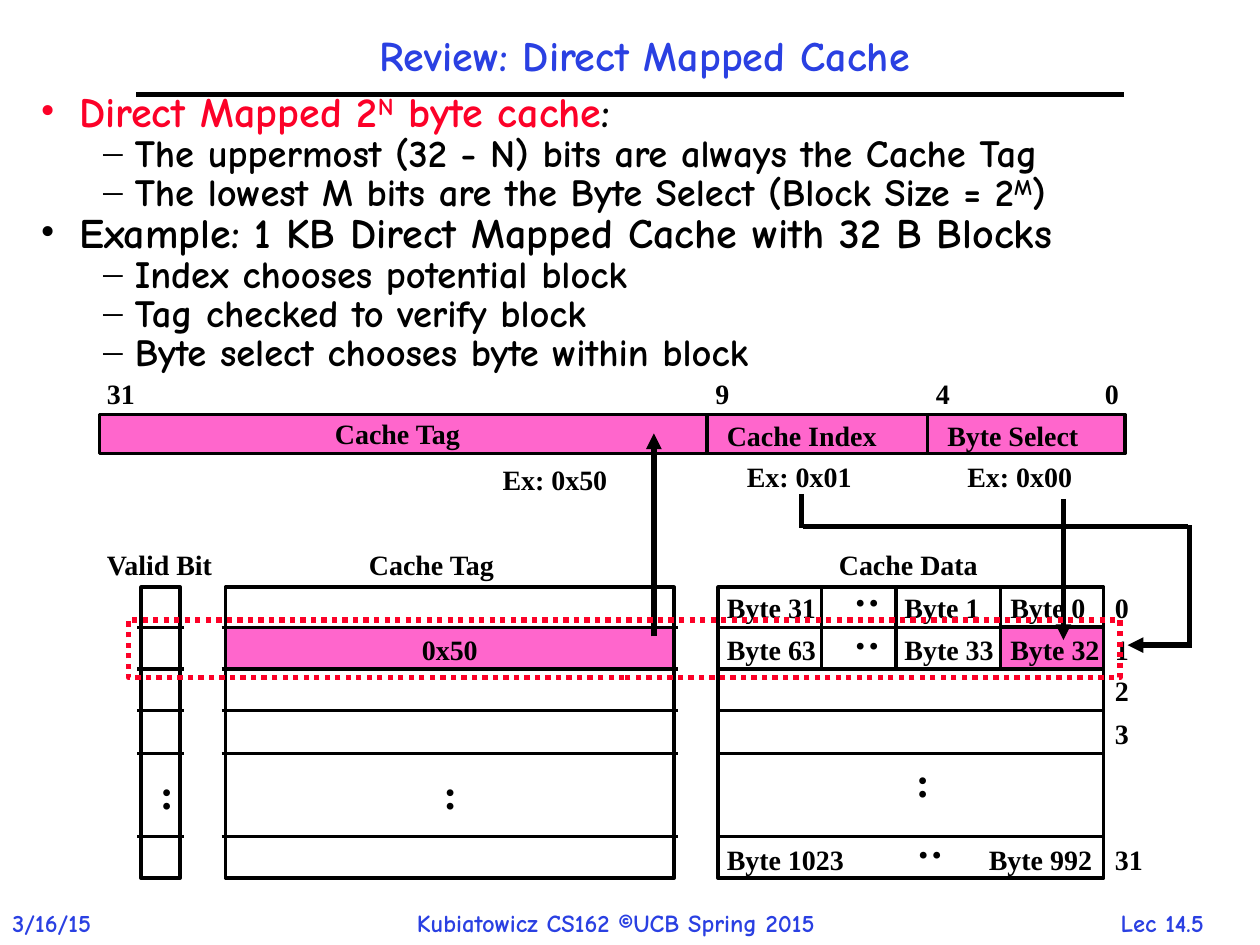
from lxml import etree
from pptx import Presentation
from pptx.dml.color import RGBColor
from pptx.enum.dml import MSO_LINE
from pptx.enum.shapes import MSO_CONNECTOR, MSO_SHAPE
from pptx.enum.text import PP_ALIGN
from pptx.oxml.ns import qn
from pptx.util import Inches, Pt

STRAIGHT = MSO_CONNECTOR.STRAIGHT
RECTANGLE = MSO_SHAPE.RECTANGLE
DOTTED = MSO_LINE.ROUND_DOT
LEFT, CENTER = PP_ALIGN.LEFT, PP_ALIGN.CENTER
BLACK = RGBColor(0x00, 0x00, 0x00)
BLUE = RGBColor(0x2A, 0x40, 0xE2)
RED = RGBColor(0xFC, 0x01, 0x28)
PINK = RGBColor(0xFF, 0x66, 0xCC)
COMIC, TIMES = "Comic Neue", "Times New Roman"

TITLE = "Review: Direct Mapped Cache"
FOOTERS = [
    ("3/16/15", 0, 1, LEFT),
    ("Kubiatowicz CS162 ©UCB Spring 2015", 3.21, 3.87, LEFT),
    ("Lec 14.5", 8.56, 1.33, CENTER),
]
BULLETS = [
    (0, RED, [("Direct Mapped 2", None), ("N", "sup"), (" byte cache", None), (":", BLACK)]),
    (1, BLACK, [("The uppermost (32 - N) bits are always the Cache Tag", None)]),
    (1, BLACK, [("The lowest M bits are the Byte Select (Block Size = 2", None),
                ("M", "sup"), (")", None)]),
    (0, BLACK, [("Example: 1 KB Direct Mapped Cache with 32 B Blocks", None)]),
    (1, BLACK, [("Index chooses potential block", None)]),
    (1, BLACK, [("Tag checked to verify block", None)]),
    (1, BLACK, [("Byte select chooses byte within block", None)]),
]
LEVELS = [("•", 0.31, 0.31, 24), ("–", 0.75, 0.25, 22)]

ADDRESS_TOP, ADDRESS_HEIGHT = 3.29, 0.31
ADDRESS_EDGES = [0.79, 5.61, 7.36, 8.93]
TABLE_TOP, TABLE_BOTTOM = 4.66, 6.97
ROW_LINES = [4.98, 5.31, 5.64, 5.98, 6.64]
TABLES = [(1.12, 0.31, 0.03), (1.79, 3.56, 0.03), (5.7, 3.06, 0)]
BYTE_EDGES = [6.52, 7.11, 7.94]
BYTE_ROWS = [(4.64, ["Byte 31", "Byte 1", "Byte 0"]),
             (4.97, ["Byte 63", "Byte 33", "Byte 32"])]
BYTE_LEFTS = [5.67, 7.08, 7.92]
ROW_NUMBERS = [("0", 4.64), ("1", 4.97), ("2", 5.3), ("3", 5.64), ("31", 6.64)]

LABELS = [
    ("31", 0.75, 2.94, 0.42), ("9", 5.58, 2.94, 0.31),
    ("4", 7.33, 2.94, 0.31), ("0", 8.67, 2.94, 0.31),
    ("Cache Tag", 2.56, 3.26, 1.22), ("Cache Index", 5.67, 3.27, 1.39),
    ("Byte Select", 7.42, 3.27, 1.24),
    ("Ex: 0x50", 3.89, 3.62, 1.03), ("Ex: 0x01", 5.83, 3.6, 1.03),
    ("Ex: 0x00", 7.58, 3.6, 1.03),
    ("Valid Bit", 0.75, 4.3, 1.06), ("Cache Tag", 2.83, 4.3, 1.21),
    ("Cache Data", 6.56, 4.3, 1.3), ("0x50", 3.25, 4.97, 0.64),
    ("Byte 1023", 5.67, 6.64, 1.13), ("Byte 992", 7.75, 6.64, 1.02),
]
ELLIPSES = [(1.17, 6.04, 0), (3.42, 6.04, 0), (7.17, 5.95, 0),
            (6.67, 4.54, 270), (6.67, 4.88, 270), (7.17, 6.54, 270)]
ARROWS = [(5.19, 5.05, 5.19, 3.44), (8.44, 3.96, 8.44, 5.08), (9.43, 5.12, 8.95, 5.12)]
INDEX_PATH = [(6.36, 3.92, 6.36, 4.19), (6.37, 4.18, 9.43, 4.18), (9.44, 4.17, 9.44, 5.14)]


def add_box(page, left, top, width, height, inset=(0.1, 0.05), wrap=False):
    box = page.shapes.add_textbox(Inches(left), Inches(top), Inches(width), Inches(height))
    frame = box.text_frame
    frame.word_wrap = wrap
    frame.margin_left = frame.margin_right = Inches(inset[0])
    frame.margin_top = frame.margin_bottom = Inches(inset[1])
    return box


def set_font(para, name, size, color):
    para.font.name = name
    para.font.size = Pt(size)
    para.font.bold = True
    para.font.color.rgb = color


def add_label(page, text, left, top, width, height=0.36, size=16, name=TIMES,
              color=BLACK, align=LEFT):
    box = add_box(page, left, top, width, height)
    para = box.text_frame.paragraphs[0]
    para.text = text
    para.alignment = align
    set_font(para, name, size, color)
    return box


def add_rectangle(page, left, top, width, height, fill=None, line=BLACK, weight=2):
    shape = page.shapes.add_shape(
        RECTANGLE, Inches(left), Inches(top), Inches(width), Inches(height))
    shape.shadow.inherit = False
    if fill is None:
        shape.fill.background()
    else:
        shape.fill.solid()
        shape.fill.fore_color.rgb = fill
    shape.line.color.rgb = line
    shape.line.width = Pt(weight)
    return shape


def add_line(page, x1, y1, x2, y2, weight=2, arrow=False):
    line = page.shapes.add_connector(
        STRAIGHT, Inches(x1), Inches(y1), Inches(x2), Inches(y2))
    line.line.color.rgb = BLACK
    line.line.width = Pt(weight)
    if arrow:
        etree.SubElement(line.line._get_or_add_ln(), qn("a:tailEnd"), type="triangle")
    etree.SubElement(line._element.spPr, qn("a:effectLst"))


def add_bullets(page):
    frame = add_box(page, 0.25, 0.73, 9.67, 2.28, (0.07, 0.03), True).text_frame
    for index, (level, color, spans) in enumerate(BULLETS):
        para = frame.add_paragraph() if index else frame.paragraphs[0]
        mark, margin, hanging, size = LEVELS[level]
        para.level = level
        props = para._p.get_or_add_pPr()
        props.set("marL", str(Inches(margin)))
        props.set("indent", str(-Inches(hanging)))
        etree.SubElement(props, qn("a:buFont"), typeface=TIMES)
        etree.SubElement(props, qn("a:buChar"), char=mark)
        para.line_spacing = 0.8
        if index:
            para.space_before = Pt(1.2)
        set_font(para, COMIC, size, color)
        for text, style in spans:
            span = para.add_run()
            span.text = text
            if style == "sup":
                span._r.get_or_add_rPr().set("baseline", "30000")
            elif style is not None:
                span.font.color.rgb = style


def add_address(page):
    for left, right in zip(ADDRESS_EDGES, ADDRESS_EDGES[1:]):
        add_rectangle(page, left, ADDRESS_TOP, right - left, ADDRESS_HEIGHT, PINK)


def add_tables(page):
    add_rectangle(page, 1.79, 4.98, 3.55, 0.33, PINK, weight=1)
    add_rectangle(page, 7.94, 4.97, 0.82, 0.34, PINK, weight=1.5)
    for left, width, overhang in TABLES:
        add_rectangle(page, left, TABLE_TOP, width, TABLE_BOTTOM - TABLE_TOP)
        for y in ROW_LINES:
            add_line(page, left - overhang, y, left + width + overhang, y)
    for top, texts in BYTE_ROWS:
        for left, text in zip(BYTE_LEFTS, texts):
            add_label(page, text, left, top, 0.91 if len(text) > 6 else 0.8)
        for x in BYTE_EDGES:
            add_line(page, x, top + 0.02, x, top + 0.33)
    for text, top in ROW_NUMBERS:
        add_label(page, text, 8.75, top, 0.42 if len(text) > 1 else 0.31)


def main():
    deck = Presentation()
    deck.slide_width, deck.slide_height = Inches(10), Inches(7.5)
    page = deck.slides.add_slide(deck.slide_layouts[6])
    for text, left, width, align in FOOTERS:
        add_label(page, text, left, 7.16, width, 0.34, 14, COMIC, BLUE, align)
    add_line(page, 1.08, 0.75, 8.92, 0.75, 3)
    title = add_box(page, 2.64, 0.25, 4.95, 0.41, (0.07, 0.03))
    heading = title.text_frame.paragraphs[0]
    heading.text = TITLE
    heading.alignment = CENTER
    heading.line_spacing = 0.9
    set_font(heading, COMIC, 24, BLUE)
    add_bullets(page)
    add_address(page)
    add_tables(page)
    for label in LABELS:
        add_label(page, *label)
    for left, top, rotation in ELLIPSES:
        add_label(page, ":", left, top, 0.31, 0.5, 24).rotation = rotation
    for ends in ARROWS:
        add_line(page, *ends, 3, True)
    for ends in INDEX_PATH:
        add_line(page, *ends, 3)
    add_rectangle(page, 1.02, 4.92, 7.87, 0.46, line=RED, weight=3).line.dash_style = DOTTED
    deck.save("out.pptx")


if __name__ == "__main__":
    main()
